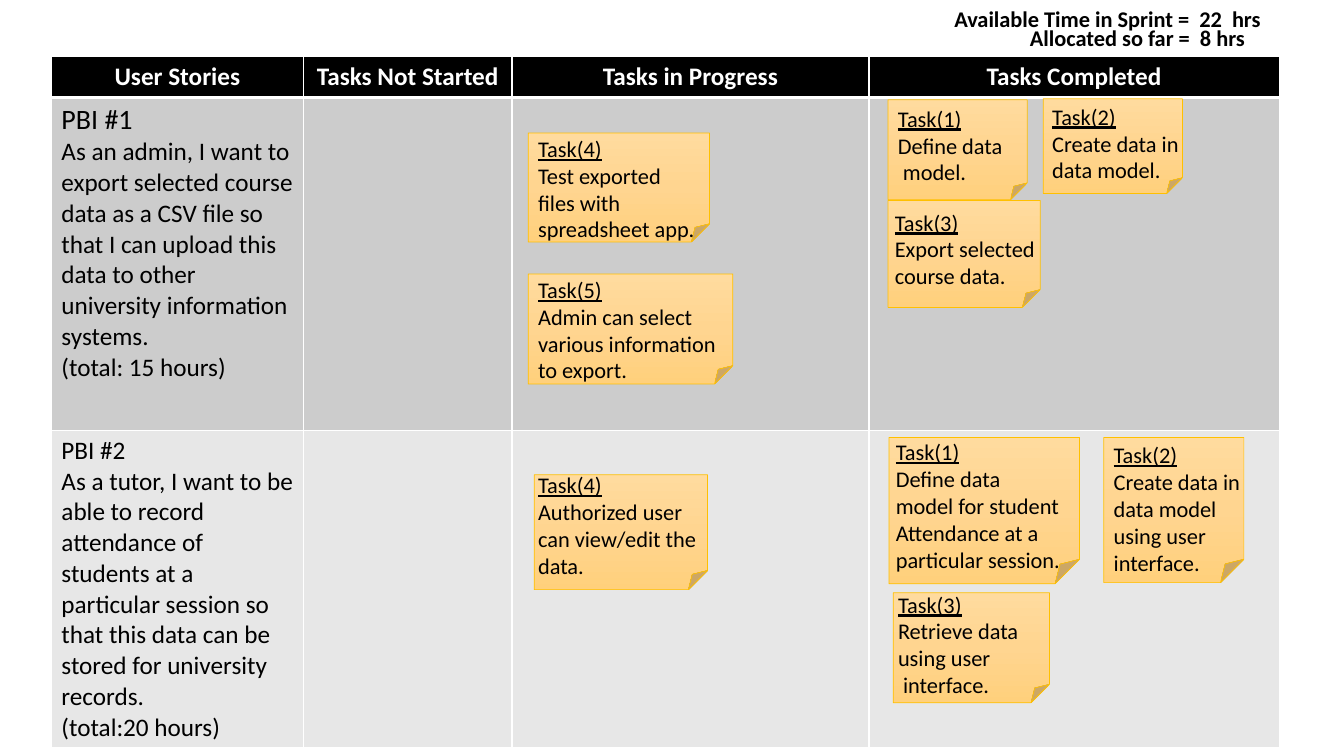
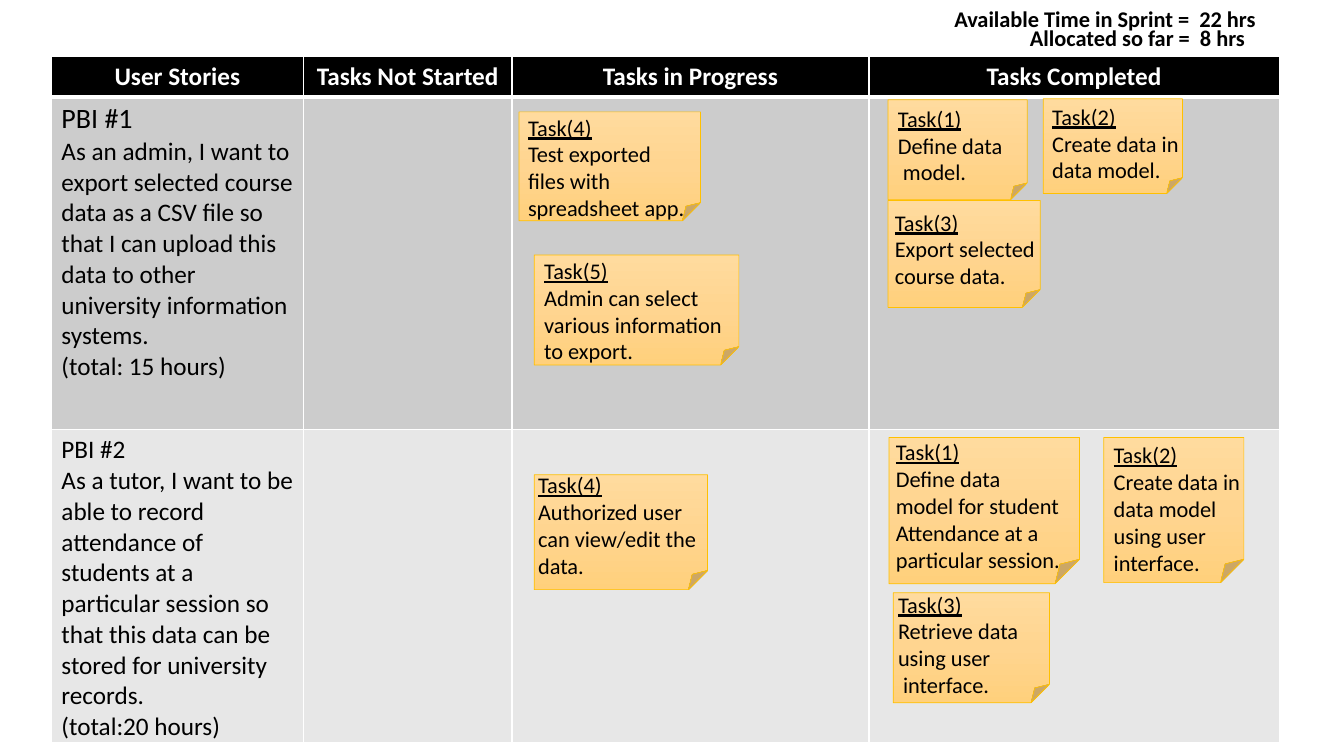
from copy import deepcopy
from dataclasses import dataclass, replace

from lxml import etree
from pptx import Presentation
from pptx.dml.color import RGBColor
from pptx.enum.shapes import MSO_SHAPE
from pptx.enum.text import MSO_AUTO_SIZE, PP_ALIGN
from pptx.oxml.ns import qn
from pptx.util import Pt

FOLDED_CORNER = MSO_SHAPE.FOLDED_CORNER
GROW = MSO_AUTO_SIZE.SHAPE_TO_FIT_TEXT
CENTER, LEFT = PP_ALIGN.CENTER, PP_ALIGN.LEFT

# Colours
BLACK = RGBColor(0x00, 0x00, 0x00)
WHITE = RGBColor(0xFF, 0xFF, 0xFF)
NOTE_EDGE = RGBColor(0xFF, 0xC0, 0x00)
NOTE_GRADIENT = (
    (0.0, RGBColor(0xFF, 0xDB, 0x9E)),
    (0.5, RGBColor(0xFF, 0xD5, 0x90)),
    (1.0, RGBColor(0xFF, 0xD0, 0x7C)),
)
ROW_FILLS = (BLACK, RGBColor(0xCC, 0xCC, 0xCC), RGBColor(0xE7, 0xE7, 0xE7))

# Text formats
BASE = {"name": "Calibri", "bold": False, "underline": False}
HEADING = BASE | {"size": Pt(18), "bold": True, "color": WHITE}
STORY = BASE | {"size": Pt(18), "color": BLACK}
STORY_LEAD = STORY | {"size": Pt(20)}
NOTE = BASE | {"size": Pt(16), "color": BLACK}
NOTE_TITLE = NOTE | {"underline": True}
HOURS = NOTE | {"bold": True}

# Board
BOARD_LEFT, BOARD_TOP = 36.7, 40.5
COLUMN_WIDTHS = (180, 149, 255, 293)
ROW_HEIGHTS = (27.4, 237.6, 212.4)
HEADINGS = ("User Stories", "Tasks Not Started", "Tasks in Progress", "Tasks Completed")
STORIES = (
    (
        ("PBI #1", STORY_LEAD),
        ("As an admin, I want to export selected course data as a CSV file so "
         "that I can upload this data to other university information systems.", STORY),
        ("(total: 15 hours)", STORY),
    ),
    (
        ("PBI #2", STORY),
        ("As a tutor, I want to be able to record attendance of students at a "
         "particular session so that this data can be stored for university records.", STORY),
        ("(total:20 hours)", STORY),
    ),
)


@dataclass(frozen=True)
class TaskNote:
    """A sticky note; dx and dy shift its text box from the paper's corner."""
    number: int
    lines: tuple[str, ...]
    left: float
    top: float
    width: float
    height: float
    dx: float = 0
    dy: float = 0
    text_width: float = 146.2
    text_height: float = 85


@dataclass(frozen=True)
class HoursLine:
    text: str
    left: float
    top: float
    width: float


@dataclass(frozen=True)
class Sprint:
    available: str
    in_progress: tuple[TaskNote, ...]


SHARED_NOTES = (
    TaskNote(3, ("Retrieve data", "using user", " interface."),
             638, 423.4, 111.6, 78.5, -3.6, -5),
    TaskNote(4, ("Authorized user", "can view/edit the data."),
             381.6, 339.1, 123.8, 82.1, -4.3, -5.8),
    TaskNote(1, ("Define data", "model for student Attendance at a particular session."),
             635, 312.5, 136.1, 104.4, -2.2, -2.9, text_height=104.4),
    TaskNote(2, ("Create data in", "data model", "using user", "interface."),
             788.4, 312.5, 100.1, 103.7, 0, -0.7, text_height=104.4),
    TaskNote(2, ("Create data in", "data model."),
             745.2, 70.6, 99.4, 67.7, -0.7, -0.7, text_height=65.5),
    TaskNote(1, ("Define data", " model."),
             634.3, 71.3, 99.4, 71.3, text_height=65.5),
    TaskNote(3, ("Export selected course data.",),
             634.3, 143.3, 108.7, 76.3, -2.2, 2.2, text_height=65.5),
)
TEST_FILES = TaskNote(4, ("Test exported", "files with", "spreadsheet app."),
                      377.3, 95, 129.6, 77.8, 0, -2.2)
SELECT_INFO = TaskNote(5, ("Admin can select various information", "to export."),
                       377.3, 195.8, 146.2, 78.5, 0, -2.2, 154.8, 98)
SPRINTS = (
    Sprint("Available Time in Sprint =  22  hrs", (TEST_FILES, SELECT_INFO)),
    Sprint("Available Time in Sprint =  22 hrs",
           (replace(TEST_FILES, left=370.8, top=79.9, dx=-0.7),
            replace(SELECT_INFO, left=381.6, top=182.2))),
)


def write(frame, paragraphs, align=LEFT) -> None:
    """Fill a text frame with (text, format) paragraphs."""
    for index, (text, values) in enumerate(paragraphs):
        paragraph = frame.paragraphs[0] if index == 0 else frame.add_paragraph()
        paragraph.alignment = align
        run = paragraph.add_run()
        run.text = text
        for key, value in values.items():
            if key == "color":
                run.font.color.rgb = value
            else:
                setattr(run.font, key, value)


def add_text(shapes, left: float, top: float, width: float, height: float, paragraphs) -> None:
    box = shapes.add_textbox(Pt(left), Pt(top), Pt(width), Pt(height))
    box.text_frame.word_wrap = True
    box.text_frame.auto_size = GROW
    write(box.text_frame, paragraphs)


def set_borders(cell, widths: dict[str, float]) -> None:
    properties = cell._tc.get_or_add_tcPr()
    for side, width in widths.items():
        line = etree.SubElement(properties, qn(f"a:ln{side}"), w=str(Pt(width)))
        fill = etree.SubElement(line, qn("a:solidFill"))
        etree.SubElement(fill, qn("a:srgbClr"), val=str(WHITE))


def add_board(slide) -> None:
    board = slide.shapes.add_table(
        len(ROW_HEIGHTS), len(COLUMN_WIDTHS), Pt(BOARD_LEFT), Pt(BOARD_TOP),
        Pt(sum(COLUMN_WIDTHS)), Pt(sum(ROW_HEIGHTS))).table
    board.horz_banding = False
    for column, width in zip(board.columns, COLUMN_WIDTHS):
        column.width = Pt(width)
    for index, (row, height, color) in enumerate(zip(board.rows, ROW_HEIGHTS, ROW_FILLS)):
        row.height = Pt(height)
        borders = {"L": 1, "R": 1, "T": 3 if index == 1 else 1, "B": 3 if index == 0 else 1}
        for cell in row.cells:
            set_borders(cell, borders)
            cell.fill.solid()
            cell.fill.fore_color.rgb = color
    for column, heading in enumerate(HEADINGS):
        write(board.cell(0, column).text_frame, [(heading, HEADING)], CENTER)
    for row, story in enumerate(STORIES, start=1):
        write(board.cell(row, 0).text_frame, story)


def add_note(slide, note: TaskNote) -> None:
    group = slide.shapes.add_group_shape()
    paper = group.shapes.add_shape(
        FOLDED_CORNER, Pt(note.left), Pt(note.top), Pt(note.width), Pt(note.height))
    paper.shadow.inherit = False
    paper.line.color.rgb = NOTE_EDGE
    paper.line.width = Pt(0.5)
    # Three-stop gradient, top to bottom
    paper.fill.gradient()
    paper.fill.gradient_angle = 270
    stop_list = paper._element.spPr.find(".//" + qn("a:gsLst"))
    stop_list.insert(1, deepcopy(stop_list[0]))
    for stop, (position, color) in zip(paper.fill.gradient_stops, NOTE_GRADIENT):
        stop.position = position
        stop.color.rgb = color
    add_text(group.shapes, note.left + note.dx, note.top + note.dy,
             note.text_width, note.text_height,
             [(f"Task({note.number})", NOTE_TITLE)] + [(line, NOTE) for line in note.lines])


def add_sprint(deck, sprint: Sprint) -> None:
    slide = deck.slides.add_slide(deck.slide_layouts[6])
    add_board(slide)
    for note in SHARED_NOTES + sprint.in_progress:
        add_note(slide, note)
    # Hours above the board
    for hours in (HoursLine(sprint.available, 674.6, 0, 235.4),
                  HoursLine("Allocated so far =  8 hrs", 728.6, 13.7, 177.1)):
        add_text(slide.shapes, hours.left, hours.top, hours.width, 26.6, [(hours.text, HOURS)])


def main() -> None:
    deck = Presentation()
    deck.slide_width, deck.slide_height = Pt(960), Pt(540)
    for sprint in SPRINTS:
        add_sprint(deck, sprint)
    deck.save("out.pptx")


if __name__ == "__main__":
    main()
